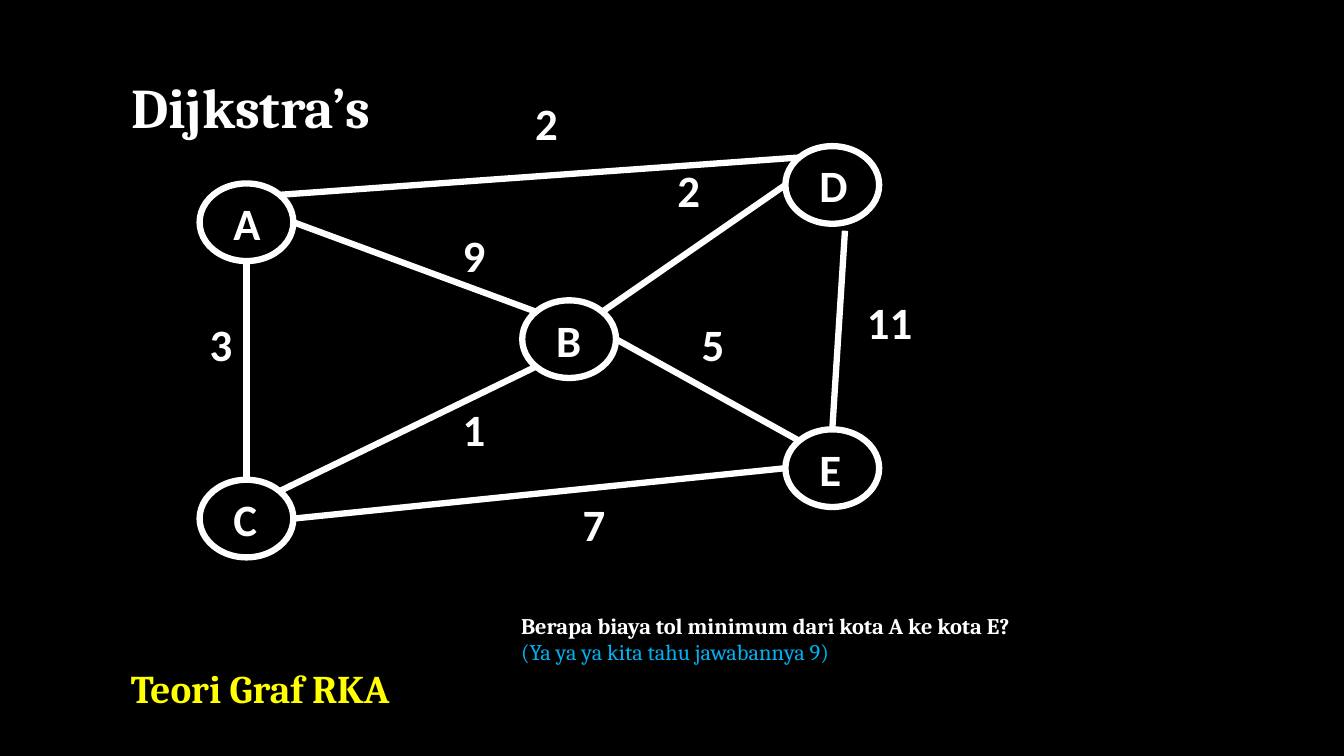
import math
from dataclasses import dataclass

import pptx
import pptx.dml.color
import pptx.enum.shapes
import pptx.enum.text
import pptx.oxml
import pptx.util
from pptx.util import Inches

COLORS = {"black": "000000", "white": "FFFFFF", "yellow": "FFFF00", "blue": "00B0F0"}
NODE_W, NODE_H = 0.93, 0.77
LINE_WIDTH = pptx.util.Pt(4.5)
DIAGONAL = math.sqrt(0.5)
# Where edges meet a node, as fractions of its radii from its centre.
SITES = {
    "top": (0, -1), "bottom": (0, 1), "left": (-1, 0), "right": (1, 0),
    "top_left": (-DIAGONAL, -DIAGONAL), "top_right": (DIAGONAL, -DIAGONAL),
    "bottom_left": (-DIAGONAL, DIAGONAL), "below": (0.27, 1.18),
}


@dataclass
class Node:
    left: float
    top: float

    def site(self, name: str) -> tuple[float, float]:
        """Return the slide position, in inches, of a named site."""
        dx, dy = SITES[name]
        return (self.left + NODE_W / 2 * (1 + dx), self.top + NODE_H / 2 * (1 + dy))


@dataclass
class Edge:
    start: str
    start_site: str
    end: str
    end_site: str
    cost: str
    cost_left: float
    cost_top: float


@dataclass
class Line:
    text: str
    size: float
    color: str = "white"
    bold: bool = True
    font: str = "Cambria"


NODES = {
    "A": Node(1.98, 1.82),
    "B": Node(5.18, 2.98),
    "D": Node(7.79, 1.45),
    "C": Node(1.98, 4.76),
    "E": Node(7.79, 4.26),
}
EDGES = [
    Edge("A", "right", "B", "top_left", "9", 4.49, 2.21),
    Edge("A", "bottom", "C", "top", "3", 1.98, 3.09),
    Edge("B", "bottom_left", "C", "top_right", "1", 4.49, 3.94),
    Edge("E", "left", "C", "right", "7", 5.68, 4.88),
    Edge("D", "left", "B", "top_right", "2", 6.62, 1.57),
    Edge("E", "top_left", "B", "right", "5", 6.86, 3.09),
    Edge("E", "top", "D", "below", "11", 8.5, 2.87),
    Edge("D", "top_left", "A", "top_right", "2", 5.21, 0.9),
]


def rgb(name: str) -> pptx.dml.color.RGBColor:
    return pptx.dml.color.RGBColor.from_string(COLORS[name])


def write(tf, lines: list[Line]) -> None:
    for i, line in enumerate(lines):
        p = tf.paragraphs[0] if i == 0 else tf.add_paragraph()
        p.text = line.text
        p.alignment = pptx.enum.text.PP_ALIGN.LEFT
        p.font.name = line.font
        p.font.size = pptx.util.Pt(line.size)
        p.font.bold = line.bold
        p.font.color.rgb = rgb(line.color)


def fit_to_text(tf) -> None:
    tf.word_wrap = False
    tf.auto_size = pptx.enum.text.MSO_AUTO_SIZE.SHAPE_TO_FIT_TEXT
    tf.vertical_anchor = pptx.enum.text.MSO_ANCHOR.TOP


def add_text(s, left: float, top: float, width: float, height: float, *lines: Line) -> None:
    sp = s.shapes.add_textbox(Inches(left), Inches(top), Inches(width), Inches(height))
    fit_to_text(sp.text_frame)
    write(sp.text_frame, list(lines))


def add_title(s) -> None:
    sp = s.shapes.title
    sp.left, sp.top, sp.width, sp.height = map(Inches, (1.2, 0.67, 2.93, 0.77))
    fit_to_text(sp.text_frame)
    write(sp.text_frame, [Line("Dijkstra’s", 40)])


def add_node(s, name: str, node: Node) -> None:
    sp = s.shapes.add_shape(
        pptx.enum.shapes.MSO_SHAPE.OVAL,
        Inches(node.left), Inches(node.top), Inches(NODE_W), Inches(NODE_H))
    sp.shadow.inherit = False
    sp.fill.background()
    sp.line.color.rgb = rgb("white")
    sp.line.width = LINE_WIDTH
    tf = sp.text_frame
    tf.margin_left = Inches(0.2)
    tf.vertical_anchor = pptx.enum.text.MSO_ANCHOR.MIDDLE
    write(tf, [Line(name, 32, font="Calibri")])


def add_edge(s, edge: Edge) -> None:
    start = NODES[edge.start].site(edge.start_site)
    end = NODES[edge.end].site(edge.end_site)
    cxn = s.shapes.add_connector(
        pptx.enum.shapes.MSO_CONNECTOR.STRAIGHT, *map(Inches, start + end))
    cxn.line.color.rgb = rgb("white")
    cxn.line.width = LINE_WIDTH
    cxn.element.spPr.append(pptx.oxml.parse_xml(
        '<a:effectLst xmlns:a="http://schemas.openxmlformats.org/drawingml/2006/main"/>'))


def add_cost(s, edge: Edge) -> None:
    width = 0.2 + 0.23 * len(edge.cost)
    add_text(s, edge.cost_left, edge.cost_top, width, 0.64,
             Line(edge.cost, 32, font="Calibri"))


def main() -> None:
    prs = pptx.Presentation()
    prs.slide_width, prs.slide_height = Inches(13.33), Inches(7.5)
    s = prs.slides.add_slide(prs.slide_layouts.get_by_name("Title Only"))
    s.background.fill.solid()
    s.background.fill.fore_color.rgb = rgb("black")

    add_title(s)
    add_text(s, 1.2, 6.54, 3.45, 0.57, Line("Teori Graf RKA", 28, "yellow"))
    for name, node in NODES.items():
        add_node(s, name, node)
    for edge in EDGES:
        add_edge(s, edge)
    for edge in EDGES:
        add_cost(s, edge)
    add_text(s, 5.07, 6.02, 5.9, 0.64,
             Line("Berapa biaya tol minimum dari kota A ke kota E?", 16),
             Line("(Ya ya ya kita tahu jawabannya 9)", 16, "blue", bold=False))
    prs.save("out.pptx")


if __name__ == "__main__":
    main()
